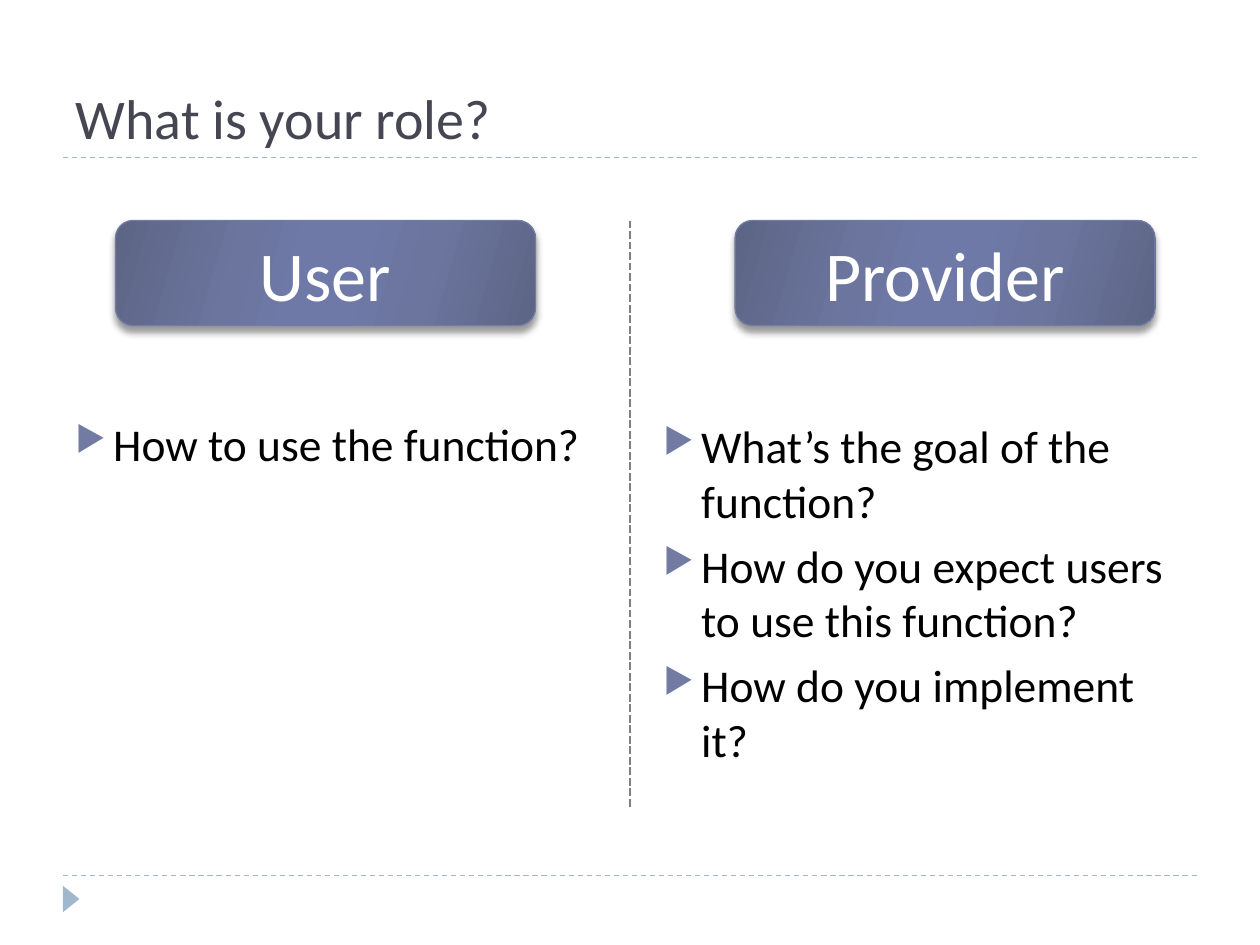
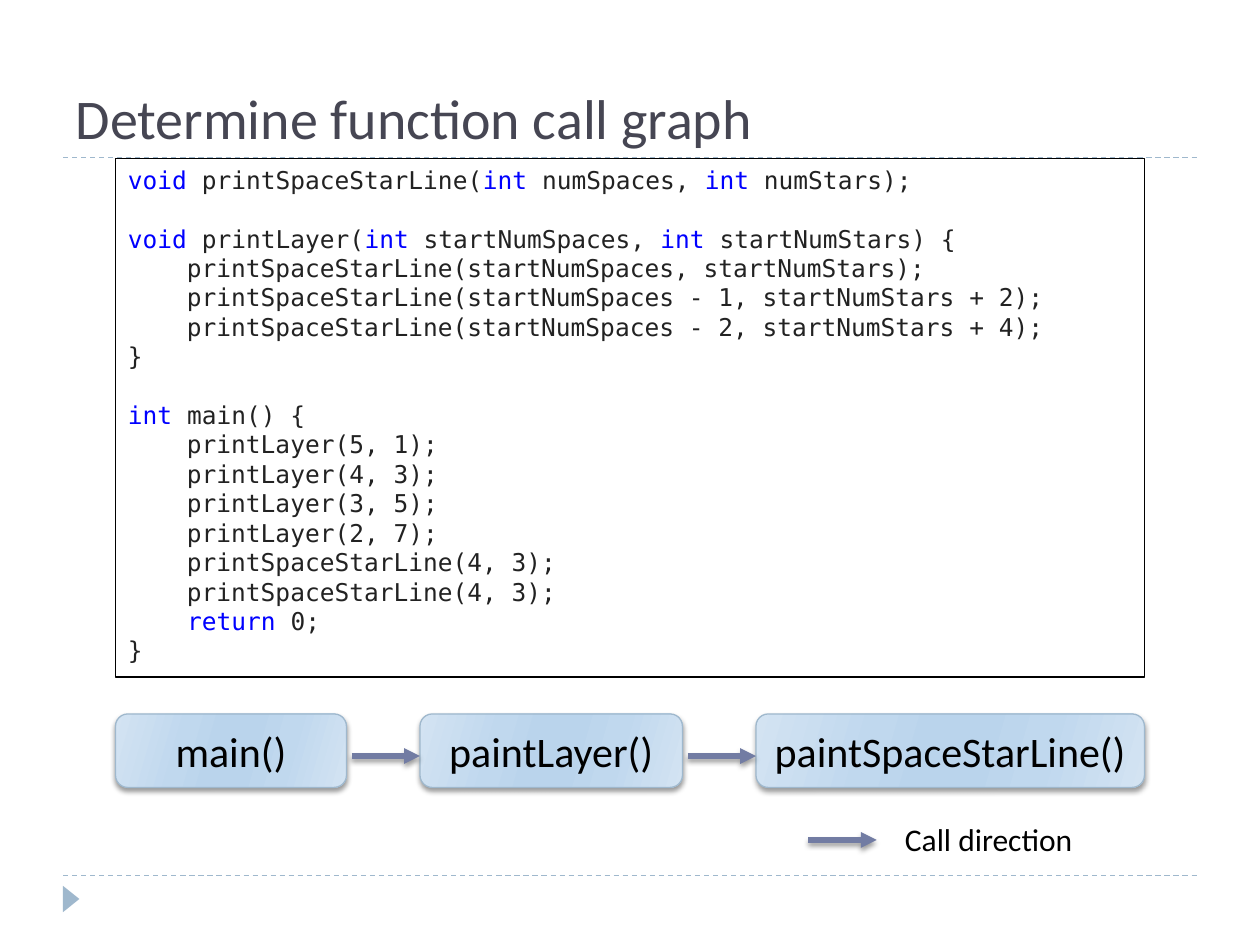
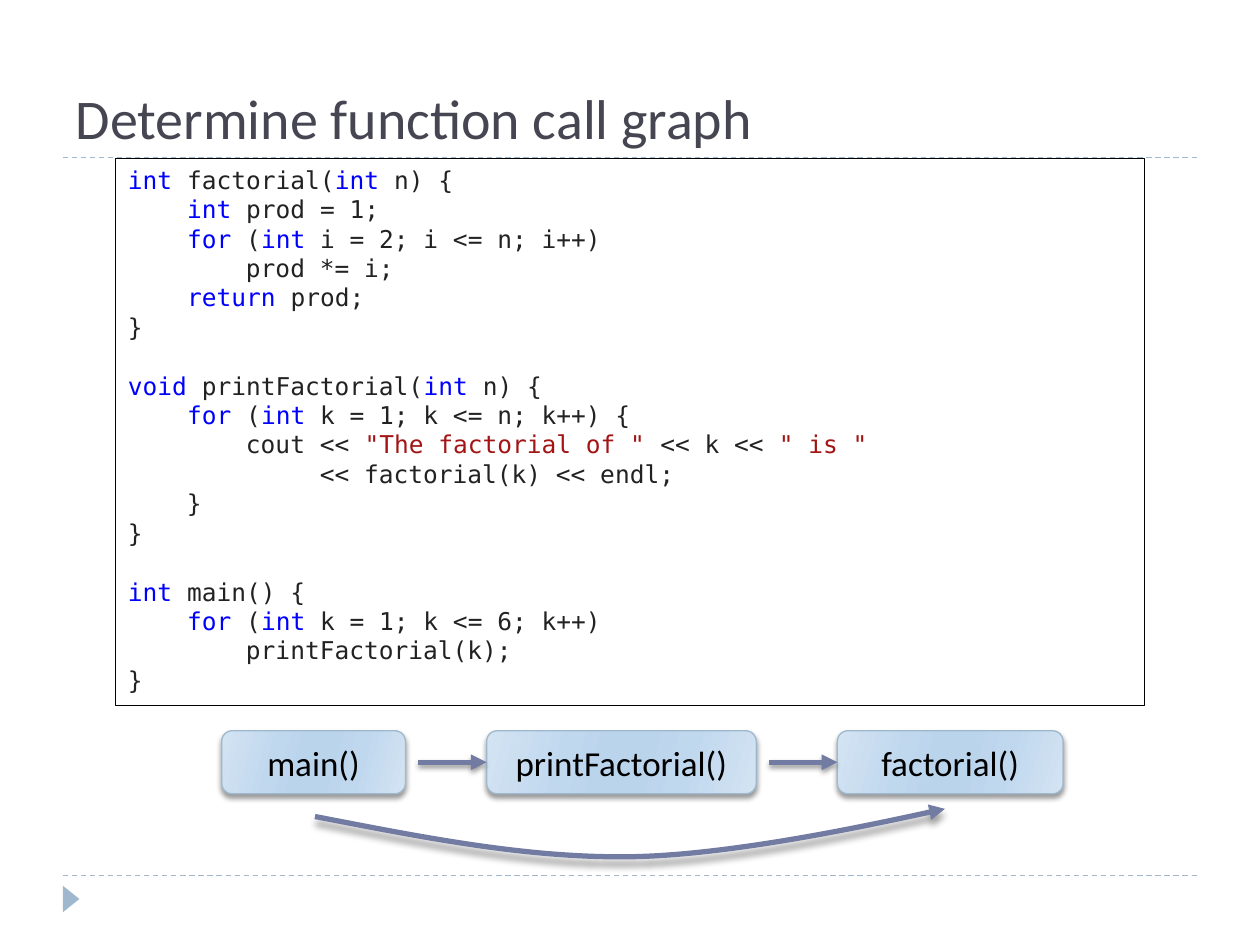
from itertools import groupby

from lxml import etree
from pptx import Presentation
from pptx.dml.color import RGBColor
from pptx.enum.dml import MSO_LINE
from pptx.enum.shapes import MSO_CONNECTOR, MSO_SHAPE
from pptx.enum.text import MSO_ANCHOR, MSO_AUTO_SIZE, PP_ALIGN
from pptx.oxml.ns import qn
from pptx.util import Pt

STRAIGHT = MSO_CONNECTOR.STRAIGHT
RECTANGLE, ROUNDED = MSO_SHAPE.RECTANGLE, MSO_SHAPE.ROUNDED_RECTANGLE
TRIANGLE = MSO_SHAPE.ISOSCELES_TRIANGLE
DASH, SHORT_DASH = MSO_LINE.DASH, MSO_LINE.SQUARE_DOT
MIDDLE, BOTTOM = MSO_ANCHOR.MIDDLE, MSO_ANCHOR.BOTTOM
LEFT, CENTER = PP_ALIGN.LEFT, PP_ALIGN.CENTER
NO_FIT, GROW = MSO_AUTO_SIZE.NONE, MSO_AUTO_SIZE.SHAPE_TO_FIT_TEXT

BLACK = RGBColor(0x00, 0x00, 0x00)
WHITE = RGBColor(0xFF, 0xFF, 0xFF)
GREY = RGBColor(0x80, 0x80, 0x80)
INK = RGBColor(0x46, 0x46, 0x53)
INDIGO = RGBColor(0x72, 0x7C, 0xA3)
SKY = RGBColor(0x9F, 0xB8, 0xCD)
CODE_INK = RGBColor(0x22, 0x22, 0x22)
KEYWORD_INK = RGBColor(0x00, 0x00, 0xFF)
STRING_INK = RGBColor(0xA3, 0x15, 0x15)

# Outer, middle and inner colour of a gradient that mirrors about its centre
DARK_GRADIENT = ("5D6585", "6B759E", "6E79A7")
LIGHT_GRADIENT = ("D3E3F2", "C0D8EE", "BAD4EC")
SOFT_SHADOW, DEEP_SHADOW = (3, 2), (4, 3.4)  # blur, distance

BODY_FONT, CODE_FONT = "Calibri", "DejaVu Sans Mono"
CODE_SIZE, CODE_LINE = 14, 16.3
KEYWORDS = {"void", "int", "for", "return"}
ARROW_LENGTH = 39

ROLE_TITLE = "What is your role?"
ROLES = [
    {"name": "User", "left": 66, "list_at": (36, 234),
     "questions": ["How to use the function?"]},
    {"name": "Provider", "left": 420, "list_at": (372, 235.4),
     "questions": ["What’s the goal of the function?",
                   "How do you expect users to use this function?",
                   "How do you implement it?"]},
]

GRAPH_TITLE = "Determine function call graph"
LAYER_CODE = """\
void printSpaceStarLine(int numSpaces, int numStars);

void printLayer(int startNumSpaces, int startNumStars) {
    printSpaceStarLine(startNumSpaces, startNumStars);
    printSpaceStarLine(startNumSpaces - 1, startNumStars + 2);
    printSpaceStarLine(startNumSpaces - 2, startNumStars + 4);
}

int main() {
    printLayer(5, 1);
    printLayer(4, 3);
    printLayer(3, 5);
    printLayer(2, 7);
    printSpaceStarLine(4, 3);
    printSpaceStarLine(4, 3);
    return 0;
}"""
LAYER_CALLS = [("main()", 132), ("paintLayer()", 150), ("paintSpaceStarLine()", 222)]

FACTORIAL_CODE = """\
int factorial(int n) {
    int prod = 1;
    for (int i = 2; i <= n; i++)
        prod *= i;
    return prod;
}

void printFactorial(int n) {
    for (int k = 1; k <= n; k++) {
        cout << "The factorial of " << k << " is "
             << factorial(k) << endl;
    }
}

int main() {
    for (int k = 1; k <= 6; k++)
        printFactorial(k);
}"""
FACTORIAL_CALLS = [("main()", 105), ("printFactorial()", 154), ("factorial()", 129)]
# Start, then two Bézier segments of three points each
DIRECT_CALL = [(180, 466.6), (239.8, 478.1), (299.5, 490.3), (359.3, 489.6),
               (419.8, 488.9), (540, 462.2), (540, 462.2)]


def points(*lengths):
    return [Pt(length) for length in lengths]


def add_span(para, text, size, color, font=BODY_FONT):
    span = para.add_run()
    span.text = text
    span.font.size = Pt(size)
    span.font.name = font
    span.font.color.rgb = color


def write(shape, text, size=18, color=BLACK, align=LEFT, anchor=None, wrap=True, fit=NO_FIT):
    frame = shape.text_frame
    frame.word_wrap = wrap
    frame.auto_size = fit
    if anchor is not None:
        frame.vertical_anchor = anchor
    para = frame.paragraphs[0]
    para.alignment = align
    add_span(para, text, size, color)


def set_shadow(shape, shadow=None):
    """Replace the theme shadow by a (blur, distance) one, or by none; call after fill and line."""
    effects = etree.SubElement(shape._element.spPr, qn("a:effectLst"))
    if shadow:
        blur, distance = points(*shadow)
        outer = etree.SubElement(effects, qn("a:outerShdw"), blurRad=str(blur),
                                 dist=str(distance), dir="5400000", rotWithShape="0")
        black = etree.SubElement(outer, qn("a:srgbClr"), val="000000")
        etree.SubElement(black, qn("a:alpha"), val="40000")


def set_line(shape, color, width, dash=None, arrow=False):
    line = shape.line
    line.color.rgb = color
    line.width = Pt(width)
    if dash:
        line.dash_style = dash
    if arrow:
        etree.SubElement(line._get_or_add_ln(), qn("a:tailEnd"), type="triangle")


def add_line(page, start, end, color, width, dash=None, arrow=False, shadow=None):
    line = page.shapes.add_connector(STRAIGHT, *points(*start, *end))
    set_line(line, color, width, dash, arrow)
    set_shadow(line, shadow)


def add_arrow(page, end_left, top):
    add_line(page, (end_left - ARROW_LENGTH, top), (end_left, top),
             INDIGO, 3, arrow=True, shadow=SOFT_SHADOW)


def add_button(page, place, text, size, color, gradient, border, shadow):
    button = page.shapes.add_shape(ROUNDED, *points(*place))
    button.fill.gradient()
    button.fill.gradient_angle = 344
    stops = button._element.spPr.find(".//" + qn("a:gsLst"))
    for stop in list(stops):
        stops.remove(stop)
    for position, shade in zip((0, 30, 45, 55, 73, 100), gradient + gradient[::-1]):
        stop = etree.SubElement(stops, qn("a:gs"), pos=str(position * 1000))
        etree.SubElement(stop, qn("a:srgbClr"), val=shade)
    set_line(button, border, 0.75)
    set_shadow(button, shadow)
    write(button, text, size=size, color=color, align=CENTER, anchor=MIDDLE)


def add_questions(page, left, top, questions):
    box = page.shapes.add_textbox(*points(left, top, 312, 250.5))
    frame = box.text_frame
    frame.word_wrap = True
    for number, question in enumerate(questions):
        para = frame.add_paragraph() if number else frame.paragraphs[0]
        props = para._p.get_or_add_pPr()
        props.set("marL", str(Pt(21.6)))
        props.set("indent", str(Pt(-21.6)))
        bullet_color = etree.SubElement(props, qn("a:buClr"))
        etree.SubElement(bullet_color, qn("a:srgbClr"), val=str(INDIGO))
        etree.SubElement(props, qn("a:buSzPct"), val="76000")
        etree.SubElement(props, qn("a:buChar"), char="▶")
        if number:
            para.space_before = Pt(6)
        add_span(para, question, 26, BLACK)


def color_words(line):
    """Yield (text, colour) for each string, word and gap of a code line."""
    for number, part in enumerate(line.split('"')):
        if number % 2:
            yield f'"{part}"', STRING_INK
            continue
        for _, letters in groupby(part, str.isalnum):
            word = "".join(letters)
            yield word, KEYWORD_INK if word in KEYWORDS else CODE_INK


def add_code(page, code):
    lines = code.splitlines()
    box = page.shapes.add_shape(
        RECTANGLE, *points(66, 90.6, 588, len(lines) * CODE_LINE + 19.2))
    box.fill.background()
    set_line(box, BLACK, 0.75)
    set_shadow(box)
    frame = box.text_frame
    frame.word_wrap = True
    frame.auto_size = GROW
    frame.vertical_anchor = MSO_ANCHOR.TOP
    para = frame.paragraphs[0]
    para.alignment = LEFT
    para.space_after = Pt(12)
    for number, line in enumerate(lines):
        if number:
            para.add_line_break()
            props = etree.SubElement(para._p[-1], qn("a:rPr"), sz=str(CODE_SIZE * 100))
            etree.SubElement(props, qn("a:latin"), typeface=CODE_FONT)
        for color, words in groupby(color_words(line), lambda pair: pair[1]):
            add_span(para, "".join(word for word, _ in words), CODE_SIZE, color, CODE_FONT)


def add_call_chain(page, calls, left, top, height, gap, size, arrow_top):
    for number, (name, width) in enumerate(calls):
        add_button(page, (left, top, width, height), name, size, BLACK,
                   LIGHT_GRADIENT, SKY, SOFT_SHADOW)
        if number:
            add_arrow(page, left, arrow_top)
        left += width + gap


def add_curved_arrow(page, curve):
    start, *rest = [points(*point) for point in curve]
    builder = page.shapes.build_freeform(*start)
    builder.add_line_segments(rest, close=False)
    arrow = builder.convert_to_shape()
    outline = arrow._element.find(".//" + qn("a:path"))
    segments = outline.findall(qn("a:lnTo"))
    for first in range(0, len(segments), 3):
        bezier = etree.SubElement(outline, qn("a:cubicBezTo"))
        for segment in segments[first:first + 3]:
            bezier.append(segment[0])
            outline.remove(segment)
    arrow.fill.background()
    set_line(arrow, INDIGO, 3, arrow=True)
    set_shadow(arrow, DEEP_SHADOW)


def add_frame(page, layout):
    """Draw the rules and the corner mark, then move them to the layout all slides share."""
    before = len(page.shapes)
    for top in (500.4, 90):
        add_line(page, (36, top), (684, top), SKY, 0.75, dash=DASH)
    mark = page.shapes.add_shape(TRIANGLE, *points(33.1, 509, 15.1, 9.4))
    mark.rotation = 90
    mark.fill.solid()
    mark.fill.fore_color.rgb = SKY
    mark.line.fill.background()
    set_shadow(mark)
    for shape in list(page.shapes)[before:]:
        layout.shapes._spTree.append(shape._element)


def add_page(deck, layout, title):
    page = deck.slides.add_slide(layout)
    heading = page.shapes.title
    heading.left, heading.top, heading.width, heading.height = points(36, 12, 648, 78)
    write(heading, title, size=32, color=INK, anchor=BOTTOM)
    return page


def main():
    deck = Presentation()
    deck.slide_width, deck.slide_height = points(720, 540)
    layout = deck.slide_layouts[5]

    page = add_page(deck, layout, ROLE_TITLE)
    add_frame(page, layout)
    for role in ROLES:
        add_button(page, (role["left"], 126, 240, 60), role["name"], 40, WHITE,
                   DARK_GRADIENT, INDIGO, DEEP_SHADOW)
        add_questions(page, *role["list_at"], role["questions"])
    add_line(page, (360, 126), (360, 462), GREY, 1.5, dash=SHORT_DASH)

    page = add_page(deck, layout, GRAPH_TITLE)
    add_code(page, LAYER_CODE)
    add_call_chain(page, LAYER_CALLS, left=66, top=408, height=42, gap=42,
                   size=24, arrow_top=432)
    add_arrow(page, 501, 480)
    legend = page.shapes.add_textbox(*points(510, 465, 114.5, 29))
    write(legend, "Call direction", wrap=False, fit=GROW)

    page = add_page(deck, layout, GRAPH_TITLE)
    add_code(page, FACTORIAL_CODE)
    add_call_chain(page, FACTORIAL_CALLS, left=126.7, top=417.6, height=36, gap=46.4,
                   size=20, arrow_top=435.6)
    add_curved_arrow(page, DIRECT_CALL)

    deck.save("out.pptx")


if __name__ == "__main__":
    main()
